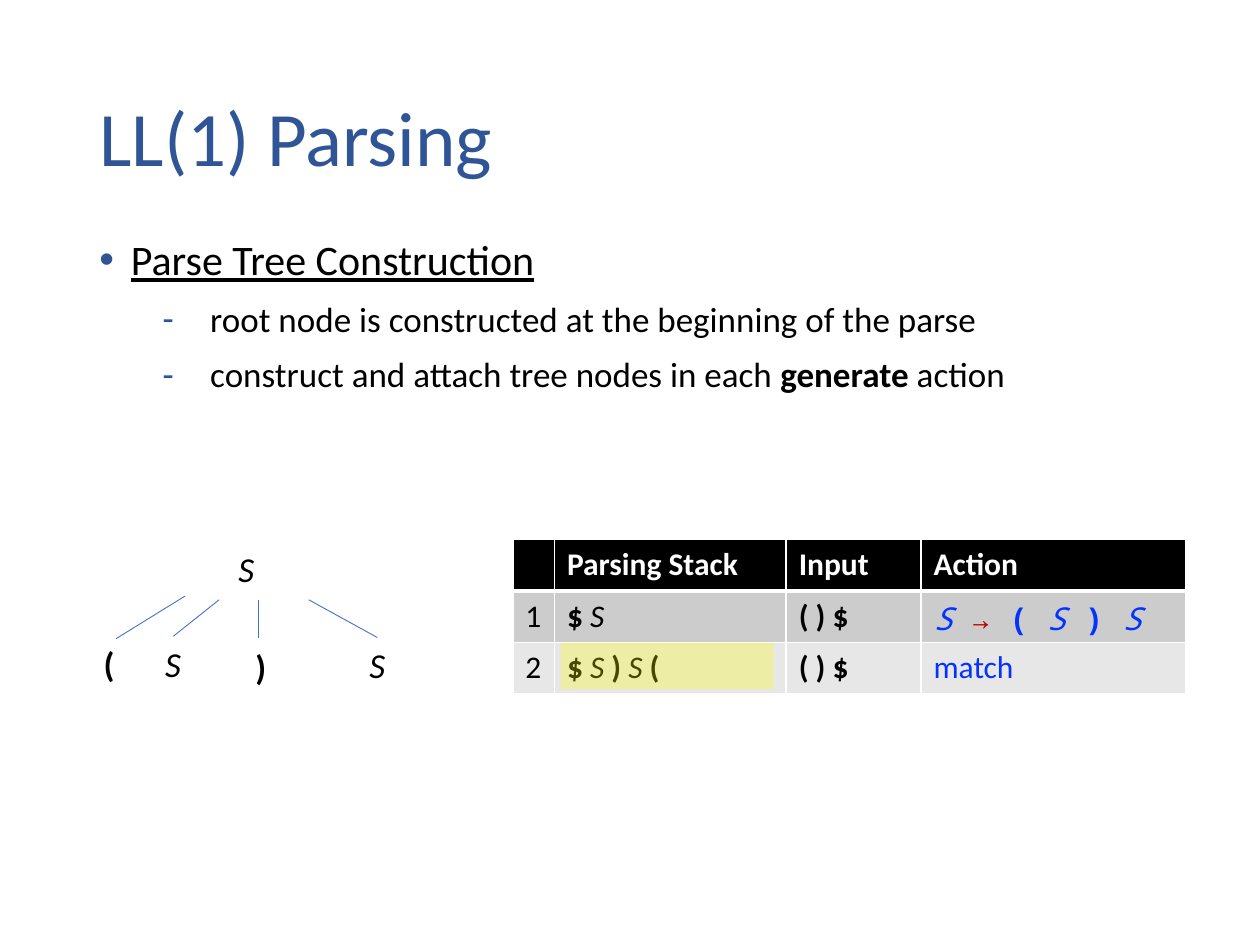
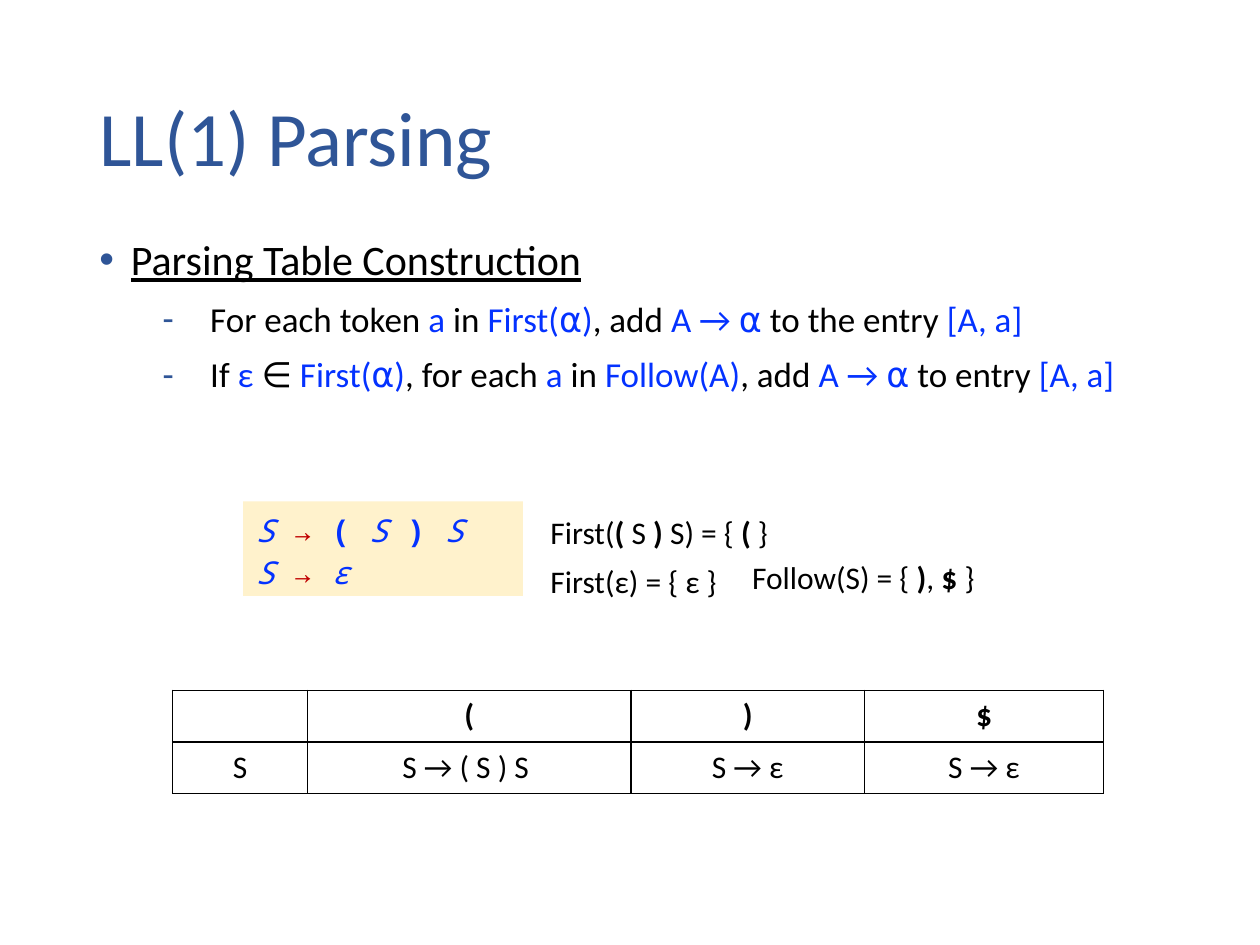
from pptx import Presentation
from pptx.dml.color import RGBColor
from pptx.enum.shapes import MSO_CONNECTOR, MSO_SHAPE
from pptx.enum.text import MSO_ANCHOR, MSO_AUTO_SIZE, PP_ALIGN
from pptx.oxml.ns import qn
from pptx.util import Inches, Pt
from lxml.etree import SubElement

COLORS = {
    "title": "2F5597", "text": "000000", "white": "FFFFFF", "blue": "0432FF",
    "red": "C00000", "line": "4472C4", "mark": "FFFF00", "cream": "FFF2CC",
    "odd": "CCCCCC", "even": "E7E7E7",
}
# Style letters of a run: b bold, i italic, u underlined, m monospaced, or a colour
INKS = {"B": "blue", "R": "red", "W": "white", "T": "title"}
FONT, MONO = "Calibri", "Noto Sans Mono"
CENTER = PP_ALIGN.CENTER

HEAD = [("S ", "imB"), ("→ ", "mR")]
RULE = HEAD + [("( ", "bmB"), ("S ", "imB"), (") ", "bmB"), ("S", "imB")]
EMPTY = HEAD + [("ε", "imB")]


def rgb(name):
    return RGBColor.from_string(COLORS[name])


def write(para, runs, size):
    """Add (text, style letters) runs; a plain string is one unstyled run."""
    if isinstance(runs, str):
        runs = [(runs, "")]
    for text, style in runs:
        run = para.add_run()
        run.text = text
        font = run.font
        font.name = MONO if "m" in style else FONT
        font.size = Pt(size)
        font.bold = "b" in style
        font.italic = "i" in style
        font.underline = "u" in style
        ink = next((INKS[c] for c in style if c in INKS), "text")
        font.color.rgb = rgb(ink)


def add_text(slide, at, lines, size, align=None, wrap=False, space=None):
    box = slide.shapes.add_textbox(*map(Inches, at))
    frame = box.text_frame
    frame.word_wrap = wrap
    frame.auto_size = MSO_AUTO_SIZE.SHAPE_TO_FIT_TEXT
    for n, runs in enumerate(lines):
        para = frame.add_paragraph() if n else frame.paragraphs[0]
        para.alignment = align
        para.line_spacing = space
        write(para, runs, size)
    return box


def add_title(slide, text):
    box = add_text(slide, (0.69, 0.4, 8.62, 1.45), [[(text, "T")]], 44,
                   wrap=True, space=0.9)
    box.text_frame.auto_size = MSO_AUTO_SIZE.NONE
    box.text_frame.vertical_anchor = MSO_ANCHOR.MIDDLE


def set_bullet(para, char, left, hang):
    props = para._p.get_or_add_pPr()
    props.set("marL", str(Inches(left)))
    props.set("indent", str(-Inches(hang)))
    ink = SubElement(props, qn("a:buClr"))
    SubElement(ink, qn("a:srgbClr")).set("val", COLORS["title"])
    SubElement(props, qn("a:buFont")).set("typeface", "Arial")
    SubElement(props, qn("a:buChar")).set("char", char)


def add_body(slide, height, topic, points):
    frame = slide.shapes.add_textbox(
        *map(Inches, (0.69, 1.85, 9.31, height))).text_frame
    frame.word_wrap = True
    for n, runs in enumerate([[(topic, "u")]] + points):
        para = frame.add_paragraph() if n else frame.paragraphs[0]
        para.line_spacing = 0.9
        para.space_before = Pt(10)
        if n:
            set_bullet(para, "-", 0.88, 0.38)
        else:
            set_bullet(para, "•", 0.25, 0.25)
        write(para, runs, 20 if n else 24)


def add_box(slide, at, fill, alpha=None):
    box = slide.shapes.add_shape(MSO_SHAPE.RECTANGLE, *map(Inches, at))
    box.shadow.inherit = False
    box.line.fill.background()
    box.fill.solid()
    box.fill.fore_color.rgb = rgb(fill)
    if alpha:
        ink = box._element.spPr.find(".//" + qn("a:srgbClr"))
        SubElement(ink, qn("a:alpha")).set("val", str(alpha * 1000))


def add_branch(slide, start, end, node=None):
    """Draw a tree edge, joined to the top of node if one is given."""
    line = slide.shapes.add_connector(
        MSO_CONNECTOR.STRAIGHT, *map(Inches, start + end))
    line.line.color.rgb = rgb("line")
    line.line.width = Pt(0.5)
    SubElement(line._element.spPr, qn("a:effectLst"))
    if node is not None:
        line.end_connect(node, 0)


def set_edges(cell, color, widths):
    """Set the left, right, top and bottom borders of a cell."""
    props = cell._tc.get_or_add_tcPr()
    for side, width in zip("LRTB", widths):
        edge = SubElement(props, qn("a:ln" + side))
        edge.set("w", str(Pt(width)))
        fill = SubElement(edge, qn("a:solidFill"))
        SubElement(fill, qn("a:srgbClr")).set("val", COLORS[color])


def add_grid(slide, spot, cols, rows, edge, fills=None, align=None):
    tall = 0.41
    table = slide.shapes.add_table(
        len(rows), len(cols),
        *map(Inches, spot + (sum(cols), tall * len(rows)))).table
    for col, width in zip(table.columns, cols):
        col.width = Inches(width)
    for r, row in enumerate(rows):
        table.rows[r].height = Inches(tall)
        for c, runs in enumerate(row):
            cell = table.cell(r, c)
            top = 3 if fills and r == 1 else 1
            base = 3 if fills and r == 0 else 1
            set_edges(cell, edge, (1, 1, top, base))
            if fills:
                cell.fill.solid()
                cell.fill.fore_color.rgb = rgb(fills[r])
            else:
                cell.fill.background()
            para = cell.text_frame.paragraphs[0]
            para.alignment = align
            if runs:
                write(para, runs, 18)


def add_tree(slide):
    top, wide, tall = 5.05, 0.33, 0.44

    def node(x, y, text, style, width=wide):
        return add_text(slide, (x, y, width, tall), [[(text, style)]], 20,
                        CENTER, wrap=width > 1)

    node(1.79, 4.3, "S", "i")
    left = node(1.21, top, "S", "i")
    right = node(2.83, top + 0.01, "S", "i")
    node(0.72, top, "(", "b", 0.29)
    node(1.54, top + 0.02, ")", "b", 1.06)
    add_branch(slide, (1.47, 4.73), (0.92, 5.07))
    add_branch(slide, (1.74, 4.76), (1.37, 5.05), left)
    add_branch(slide, (2.05, 4.76), (2.05, 5.06))
    add_branch(slide, (2.45, 4.76), (3.01, 5.06), right)


def build_tree(slide):
    add_title(slide, "LL(1) Parsing")
    add_body(slide, 2.21, "Parse Tree Construction", [
        "root node is constructed at the beginning of the parse",
        [("construct and attach tree nodes in each ", ""),
         ("generate ", "b"), ("action", "")],
    ])
    feed = [("( ) $", "b")]
    stack = [("$ ", "b"), ("S", "i")]
    names = ("Parsing Stack", "Input", "Action")
    rows = [
        [""] + [[(name, "bW")] for name in names],
        ["1", stack, feed, RULE],
        ["2", stack + [(" ) ", "b"), ("S", "i"), (" (", "b")], feed,
         [("match", "B")]],
    ]
    add_grid(slide, (4.07, 4.28), (0.33, 1.84, 1.07, 2.1), rows, "white",
             ("text", "odd", "even"))
    add_tree(slide)
    add_box(slide, (4.45, 5.1, 1.69, 0.37), "mark", 28)


def build_table(slide):
    add_title(slide, "LL(1) Parsing")
    first, move = ("First(⍺)", "B"), ("A → ⍺", "B")
    token, entry = ("a", "B"), ("[A, a]", "B")
    add_body(slide, 1.96, "Parsing Table Construction", [
        [("For each token ", ""), token, (" in ", ""), first, (", add ", ""),
         move, (" to the entry ", ""), entry],
        [("If ", ""), ("ε", "B"), (" ∈ ", ""), first, (", for each ", ""),
         token, (" in ", ""), ("Follow(A)", "B"), (", add ", ""), move,
         (" to entry ", ""), entry],
    ])
    add_box(slide, (1.93, 3.98, 2.22, 0.75), "cream")
    add_text(slide, (1.93, 3.98, 2.85, 0.75), [RULE, EMPTY], 18, wrap=True,
             space=1.1)
    add_grid(slide, (1.37, 5.48), (1.07, 2.57, 1.85, 1.9), [
        [""] + [[(mark, "b")] for mark in "()$"],
        ["S", "S → ( S ) S ", "S → ε", "S → ε"],
    ], "text", align=CENTER)
    add_text(slide, (4.27, 3.93, 1.95, 0.85), [
        [("First(", ""), ("(", "b"), (" S ", ""), (") ", "b"),
         ("S) = { ", ""), ("( ", "b"), ("}", "")],
        "First(ε) = { ε }",
    ], 18, space=Pt(28))
    add_text(slide, (5.87, 4.38, 1.99, 0.4), [
        [("Follow(S) = { ", ""), (")", "b"), (", ", ""), ("$", "b"),
         (" }", "")],
    ], 18)


def main():
    deck = Presentation()
    deck.slide_width, deck.slide_height = Inches(10), Inches(7.5)
    for build in (build_tree, build_table):
        build(deck.slides.add_slide(deck.slide_layouts[6]))
    deck.save("out.pptx")


if __name__ == "__main__":
    main()
